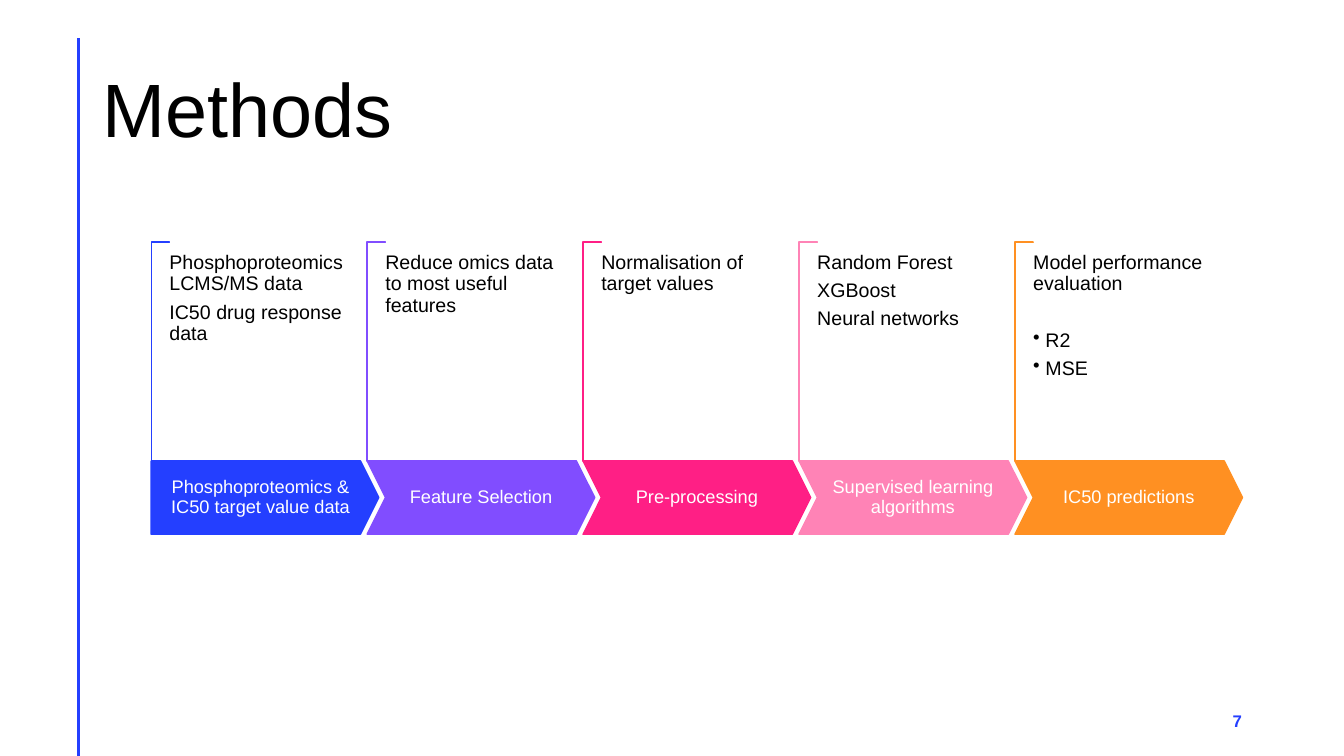
from dataclasses import dataclass
from lxml.etree import SubElement
from pptx import Presentation
from pptx.dml.color import RGBColor
from pptx.enum.shapes import MSO_CONNECTOR, MSO_SHAPE
from pptx.enum.text import MSO_ANCHOR, MSO_AUTO_SIZE, PP_ALIGN
from pptx.oxml.ns import qn
from pptx.util import Pt

TITLE = "Methods"
PAGE_NUMBER = "7"
STEPS = [
    ("Phosphoproteomics & IC50 target value data", "243FFF",
     ["Phosphoproteomics LCMS/MS data", "IC50 drug response data"], []),
    ("Feature Selection", "814DFF",
     ["Reduce omics data to most useful features"], []),
    ("Pre-processing", "FF1F85", ["Normalisation of target values"], []),
    ("Supervised learning algorithms", "FF83B6",
     ["Random Forest", "XGBoost", "Neural networks"], []),
    ("IC50 predictions", "FF9022",
     ["Model performance evaluation"], ["R2", "MSE"]),
]


@dataclass(frozen=True)
class Theme:
    font: str = "Arial"
    ink: str = "000000"
    paper: str = "FFFFFF"
    accent: str = "243FFF"
    title: float = 54
    note: float = 14
    label: float = 13
    number: float = 12


THEME = Theme()
STEP_LEFT, STEP_PITCH = 108, 154.25
ARROW_TOP, ARROW_WIDTH, ARROW_HEIGHT, ARROW_POINT = 329.2, 162.6, 52.4, 13.1
BRACKET_TOP, BRACKET_WIDTH, BRACKET_HEIGHT = 173, 13, 156.2
NOTE_TOP, NOTE_HEIGHT = 180.6, 111.6


def color(code):
    return RGBColor.from_string(code)


def write(shape, lines, size, ink=THEME.ink, bold=False, align=PP_ALIGN.LEFT,
          anchor=MSO_ANCHOR.TOP, insets=(0, 0, 0, 0), spacing=0.9, after=0,
          bullets=(), bullet_gap=0):
    frame = shape.text_frame
    frame.word_wrap = True
    frame.auto_size = MSO_AUTO_SIZE.NONE
    frame.vertical_anchor = anchor
    (frame.margin_left, frame.margin_top,
     frame.margin_right, frame.margin_bottom) = map(Pt, insets)
    for index, line in enumerate([*lines, *bullets]):
        para = frame.add_paragraph() if index else frame.paragraphs[0]
        para.alignment = align
        para.line_spacing = spacing
        para.space_before = Pt(bullet_gap if index == len(lines) else 0)
        para.space_after = Pt(after)
        if index >= len(lines):
            properties = para._p.get_or_add_pPr()
            properties.set("marL", str(Pt(8.8)))
            properties.set("indent", str(-Pt(8.8)))
            SubElement(properties, qn("a:buChar")).set("char", "•")
        span = para.add_run()
        span.text = line
        span.font.name = THEME.font
        span.font.size = Pt(size)
        span.font.bold = bold
        span.font.color.rgb = color(ink)


def paint(shape, fill, line):
    shape.shadow.inherit = False
    shape.fill.solid()
    shape.fill.fore_color.rgb = color(fill)
    shape.line.color.rgb = color(line)
    shape.line.width = Pt(1)


def add_text(page, left, top, width, height, lines, size, **style):
    box = page.shapes.add_textbox(Pt(left), Pt(top), Pt(width), Pt(height))
    write(box, lines, size, **style)


def add_bracket(page, left, tint):
    bracket = page.shapes.add_shape(
        MSO_SHAPE.CORNER,
        Pt(left + (BRACKET_WIDTH - BRACKET_HEIGHT) / 2),
        Pt(BRACKET_TOP + (BRACKET_HEIGHT - BRACKET_WIDTH) / 2),
        Pt(BRACKET_HEIGHT), Pt(BRACKET_WIDTH))
    bracket.rotation = 90
    bracket.adjustments[0] = bracket.adjustments[1] = 0.01
    paint(bracket, THEME.paper, tint)


def add_arrow(page, left, tint, label, notched):
    right, bottom = left + ARROW_WIDTH, ARROW_TOP + ARROW_HEIGHT
    middle = ARROW_TOP + ARROW_HEIGHT / 2
    corners = [(right - ARROW_POINT, ARROW_TOP), (right, middle),
               (right - ARROW_POINT, bottom), (left, bottom)]
    if notched:
        corners.append((left + ARROW_POINT, middle))
    builder = page.shapes.build_freeform(Pt(left), Pt(ARROW_TOP))
    builder.add_line_segments([(Pt(x), Pt(y)) for x, y in corners], close=True)
    arrow = builder.convert_to_shape()
    paint(arrow, tint, tint)
    insets = (19.5, 13, 19.5, 13) if notched else (6.5, 13, 13, 13)
    write(arrow, [label], THEME.label, ink=THEME.paper, align=PP_ALIGN.CENTER,
          anchor=MSO_ANCHOR.MIDDLE, insets=insets)


def main():
    deck = Presentation()
    deck.slide_width, deck.slide_height = Pt(960), Pt(540)
    page = deck.slides.add_slide(deck.slide_layouts[5])

    rule = page.shapes.add_connector(
        MSO_CONNECTOR.STRAIGHT, Pt(56.2), Pt(27.5), Pt(56.2), Pt(540))
    rule.line.color.rgb = color(THEME.accent)
    rule.line.width = Pt(2)
    SubElement(rule._element.spPr, qn("a:effectLst"))

    title = page.shapes.title
    title.left, title.top, title.width, title.height = map(
        Pt, (66.2, 28.8, 828, 104.4))
    write(title, [TITLE], THEME.title, anchor=MSO_ANCHOR.MIDDLE,
          insets=(7.2, 3.6, 7.2, 3.6))

    for index, (label, tint, notes, bullets) in enumerate(STEPS):
        left = STEP_LEFT + index * STEP_PITCH
        add_bracket(page, left, tint)
        add_arrow(page, left, tint, label, notched=index > 0)
        add_text(page, left + BRACKET_WIDTH, NOTE_TOP, 132 if index else 141,
                 NOTE_HEIGHT, notes, THEME.note, after=4.9,
                 bullets=bullets, bullet_gap=20.2)

    add_text(page, 678.2, 500.4, 216, 28.8, [PAGE_NUMBER], THEME.number,
             ink=THEME.accent, bold=True, align=PP_ALIGN.RIGHT, spacing=1.0,
             anchor=MSO_ANCHOR.MIDDLE, insets=(7.2, 3.6, 7.2, 3.6))
    deck.save("out.pptx")


if __name__ == "__main__":
    main()
